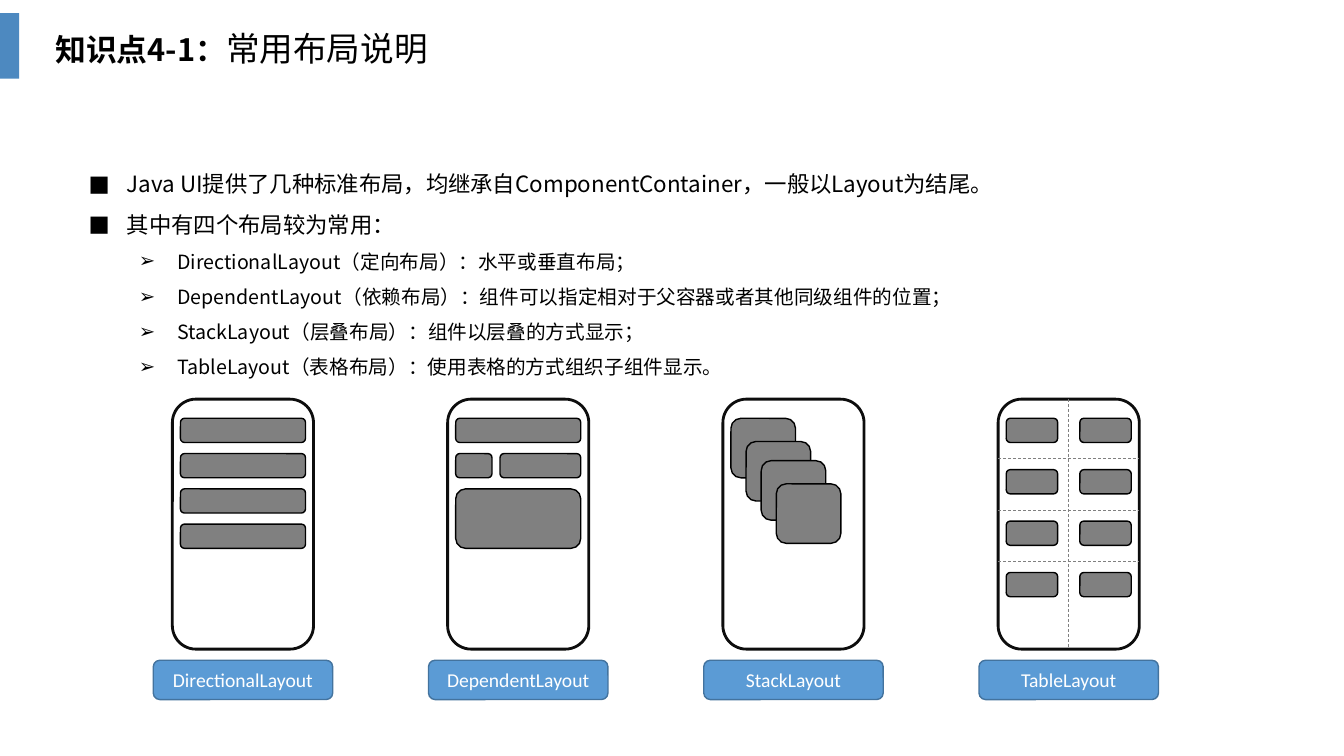
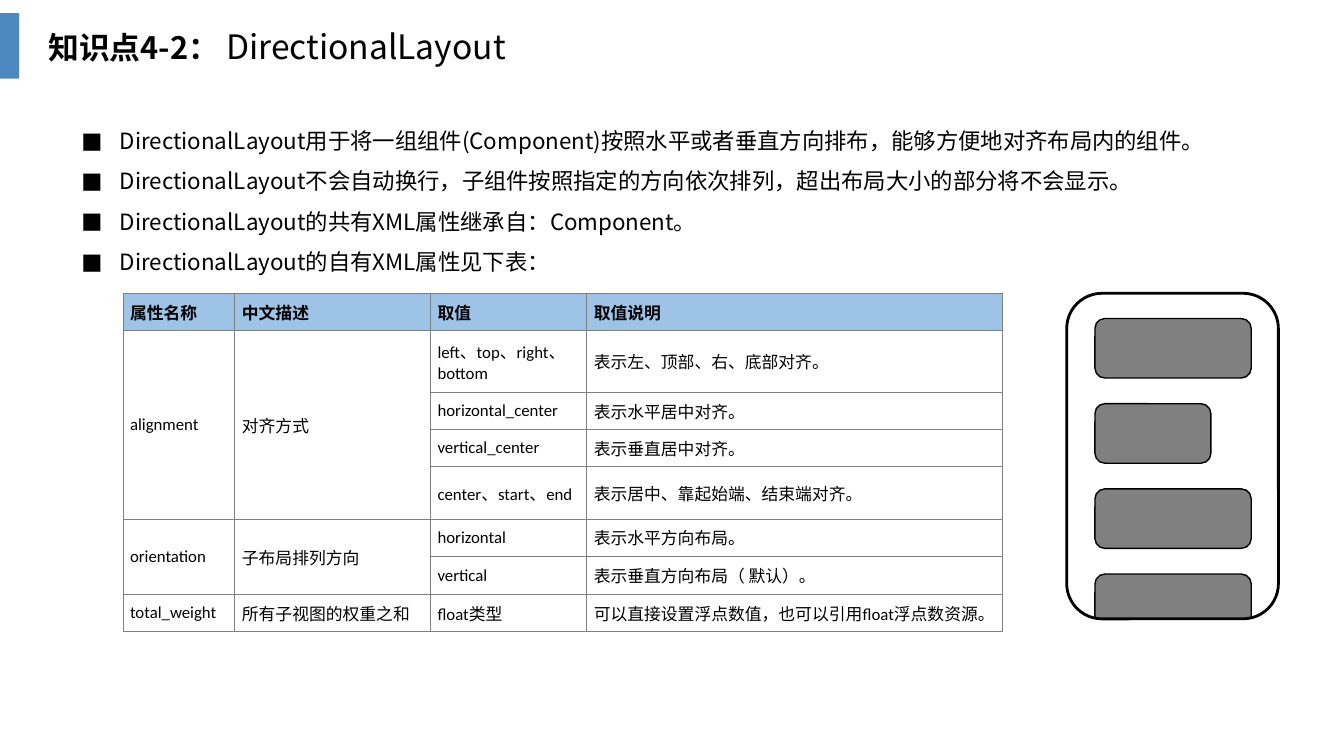
from dataclasses import dataclass
from itertools import product

from lxml.etree import SubElement
from pptx import Presentation
from pptx.dml.color import RGBColor
from pptx.enum.dml import MSO_LINE
from pptx.enum.shapes import MSO_CONNECTOR, MSO_SHAPE
from pptx.enum.text import MSO_ANCHOR, MSO_AUTO_SIZE, PP_ALIGN
from pptx.oxml import parse_xml
from pptx.oxml.ns import nsdecls, qn
from pptx.util import Inches, Pt


@dataclass(frozen=True)
class Theme:
    black: RGBColor = RGBColor.from_string("000000")
    white: RGBColor = RGBColor.from_string("FFFFFF")
    accent: RGBColor = RGBColor.from_string("2E75B6")
    label: RGBColor = RGBColor.from_string("5B9BD5")
    label_edge: RGBColor = RGBColor.from_string("43739E")
    header: RGBColor = RGBColor.from_string("9DC3E6")
    gray: RGBColor = RGBColor.from_string("808080")
    phone_edge: RGBColor = RGBColor.from_string("0D0D0D")
    cjk: str = "Noto Sans CJK SC"
    latin: str = "Calibri"
    prefix: int = 22
    title: int = 24
    body: int = 16
    detail: int = 14
    cell: int = 12


theme = Theme()
BULLETS = "■➢"
BULLET_INDENT = 0.38


def write(paragraph, text, *, size, font=theme.cjk, color=theme.black,
          bold=False, align=PP_ALIGN.LEFT, level=None):
    """Add a run; a level makes the paragraph a bullet of that depth."""
    paragraph.alignment = align
    if level is not None:
        paragraph.level = level
        paragraph.line_spacing = 1.5
        props = paragraph._p.get_or_add_pPr()
        props.set("marL", str(Inches(BULLET_INDENT + level * 0.5)))
        props.set("indent", str(-Inches(BULLET_INDENT)))
        SubElement(props, qn("a:buFont")).set("typeface", theme.latin)
        SubElement(props, qn("a:buChar")).set("char", BULLETS[level])
    run = paragraph.add_run()
    run.text = text
    run.font.size = Pt(size)
    run.font.bold = bold
    run.font.color.rgb = color
    run.font.name = font
    SubElement(run.font._element, qn("a:ea")).set("typeface", theme.cjk)


def add_block(shapes, left, top, width, height, *, fill=theme.gray,
              edge=theme.black, weight=1, kind=MSO_SHAPE.ROUNDED_RECTANGLE):
    block = shapes.add_shape(kind, Inches(left), Inches(top), Inches(width), Inches(height))
    block.shadow.inherit = False
    if fill is None:
        block.fill.background()
    else:
        block.fill.solid()
        block.fill.fore_color.rgb = fill
    if edge is None:
        block.line.fill.background()
    else:
        block.line.color.rgb = edge
        block.line.width = Pt(weight)
    return block


prs = Presentation()
prs.slide_width, prs.slide_height = Inches(13.33), Inches(7.5)
layout = prs.slide_layouts[5]

# Titles and bullet lists
pages = [
    {
        "title": ("知识点4-1：", "常用布局说明"), "title_at": (0.45, 0.23),
        "list_at": (0.78, 1.51), "list_height": 2.28,
        "points": [
            (0, "Java UI提供了几种标准布局，均继承自ComponentContainer，一般以Layout为结尾。"),
            (0, "其中有四个布局较为常用："),
            (1, "DirectionalLayout（定向布局）：水平或垂直布局；"),
            (1, "DependentLayout（依赖布局）：组件可以指定相对于父容器或者其他同级组件的位置；"),
            (1, "StackLayout（层叠布局）：组件以层叠的方式显示；"),
            (1, "TableLayout（表格布局）：使用表格的方式组织子组件显示。"),
        ],
    },
    {
        "title": ("知识点4-2： ", "DirectionalLayout"), "title_at": (0.38, 0.21),
        "list_at": (0.71, 1.08), "list_height": 1.72,
        "points": [
            (0, "DirectionalLayout用于将一组组件(Component)按照水平或者垂直方向排布，能够方便地对齐布局内的组件。"),
            (0, "DirectionalLayout不会自动换行，子组件按照指定的方向依次排列，超出布局大小的部分将不会显示。"),
            (0, "DirectionalLayout的共有XML属性继承自：Component。"),
            (0, "DirectionalLayout的自有XML属性见下表："),
        ],
    },
]
slides = []
for page in pages:
    slide = prs.slides.add_slide(layout)
    slides.append(slide)
    title = slide.shapes.title
    title.left, title.top = map(Inches, page["title_at"])
    title.width, title.height = Inches(7.09), Inches(0.5)
    heading = title.text_frame
    heading.vertical_anchor = MSO_ANCHOR.TOP
    heading.auto_size = MSO_AUTO_SIZE.SHAPE_TO_FIT_TEXT
    prefix, topic = page["title"]
    write(heading.paragraphs[0], prefix, size=theme.prefix, bold=True)
    write(heading.paragraphs[0], topic, size=theme.title)

    left, top = page["list_at"]
    points = slide.shapes.add_textbox(
        Inches(left), Inches(top), Inches(11.92), Inches(page["list_height"])).text_frame
    points.word_wrap = True
    points.auto_size = MSO_AUTO_SIZE.SHAPE_TO_FIT_TEXT
    for index, (level, text) in enumerate(page["points"]):
        paragraph = points.add_paragraph() if index else points.paragraphs[0]
        write(paragraph, text, level=level, size=theme.detail if level else theme.body)

overview, directional = slides

# The accent bar belongs to the layout, so both slides inherit it
bar = add_block(overview.shapes, 0, 0.13, 0.19, 0.65, fill=theme.accent,
                edge=None, kind=MSO_SHAPE.RECTANGLE)
bar_color = bar.fill._xPr.find(qn("a:solidFill")).find(qn("a:srgbClr"))
SubElement(bar_color, qn("a:alpha")).set("val", "85000")
layout.element.cSld.spTree.insert(2, bar.element)

# Four phones; components are (left, top, width, height) inside the phone
PHONE_LEFT, PHONE_TOP, PHONE_PITCH = 1.71, 3.96, 2.73
PHONE_WIDTH, PHONE_HEIGHT = 1.4, 2.48
INSET, FIRST, ROW_STEP, BAR_HEIGHT = 0.08, 0.19, 0.35, 0.24
FULL_WIDTH, BOX_HEIGHT = 1.24, 0.59
phones = {
    "DirectionalLayout": [
        (INSET, FIRST + row * ROW_STEP, FULL_WIDTH, BAR_HEIGHT) for row in range(4)],
    "DependentLayout": [
        (INSET, FIRST, FULL_WIDTH, BAR_HEIGHT),
        (INSET, FIRST + ROW_STEP, 0.36, BAR_HEIGHT),
        (INSET + 0.44, FIRST + ROW_STEP, 0.8, BAR_HEIGHT),
        (INSET, FIRST + 2 * ROW_STEP, FULL_WIDTH, BOX_HEIGHT)],
    "StackLayout": [
        (INSET + step * 0.15, FIRST + drop, 0.64, BOX_HEIGHT)
        for step, drop in enumerate((0, 0.23, 0.42, 0.65))],
    "TableLayout": [
        (INSET + col * 0.73, FIRST + row * 0.51, 0.51, BAR_HEIGHT)
        for row, col in product(range(4), range(2))],
}
for column, (name, components) in enumerate(phones.items()):
    left = PHONE_LEFT + column * PHONE_PITCH
    phone = overview.shapes.add_group_shape().shapes
    add_block(phone, left, PHONE_TOP, PHONE_WIDTH, PHONE_HEIGHT,
              fill=None, edge=theme.phone_edge, weight=2)
    for dx, dy, width, height in components:
        add_block(phone, left + dx, PHONE_TOP + dy, width, height)
    if name == "TableLayout":
        right, bottom = left + PHONE_WIDTH, PHONE_TOP + PHONE_HEIGHT
        middle = left + PHONE_WIDTH / 2
        dividers = [(middle, PHONE_TOP, middle, bottom)]
        for row in range(3):
            y = PHONE_TOP + 0.59 + row * 0.51
            dividers.append((left, y, right, y))
        for ends in dividers:
            divider = phone.add_connector(MSO_CONNECTOR.STRAIGHT, *map(Inches, ends))
            divider.line.color.rgb = theme.gray
            divider.line.width = Pt(0.5)
            divider.line.dash_style = MSO_LINE.DASH
            SubElement(divider.element.spPr, qn("a:effectLst"))

    label = add_block(overview.shapes, left - 0.19, 6.55, 1.78, 0.39,
                      fill=theme.label, edge=theme.label_edge).text_frame
    label.vertical_anchor = MSO_ANCHOR.MIDDLE
    write(label.paragraphs[0], name, size=theme.detail, font=theme.latin,
          color=theme.white, align=PP_ALIGN.CENTER)

# Attribute table; None continues the cell above
attributes = [
    ("属性名称", "中文描述", "取值", "取值说明"),
    ("alignment", "对齐方式", "left、top、right、bottom", "表示左、顶部、右、底部对齐。"),
    (None, None, "horizontal_center", "表示水平居中对齐。"),
    (None, None, "vertical_center", "表示垂直居中对齐。"),
    (None, None, "center、start、end", "表示居中、靠起始端、结束端对齐。"),
    ("orientation", "子布局排列方向", "horizontal", "表示水平方向布局。"),
    (None, None, "vertical", "表示垂直方向布局（ 默认）。"),
    ("total_weight", "所有子视图的权重之和", "float类型", "可以直接设置浮点数值，也可以引用float浮点数资源。"),
]
column_widths = (1.11, 1.94, 1.55, 4.12)
row_heights = (0.37, 0.61, 0.37, 0.37, 0.37, 0.37, 0.38, 0.37)
table = directional.shapes.add_table(
    len(row_heights), len(column_widths), Inches(1.22), Inches(2.91),
    Inches(sum(column_widths)), Inches(sum(row_heights))).table
table.first_row = table.horz_banding = False
for column, width in zip(table.columns, column_widths):
    column.width = Inches(width)
for row, height in zip(table.rows, row_heights):
    row.height = Inches(height)

for r, texts in enumerate(attributes):
    for c, text in enumerate(texts):
        cell = table.cell(r, c)
        cell.vertical_anchor = MSO_ANCHOR.MIDDLE
        cell.margin_left = cell.margin_right = Inches(0.07)
        cell.margin_top = cell.margin_bottom = Inches(0.06)
        cell.fill.solid()
        cell.fill.fore_color.rgb = theme.white if r else theme.header
        for position, side in enumerate("LRTB"):
            cell._tc.get_or_add_tcPr().insert(position, parse_xml(
                f'<a:ln{side} {nsdecls("a")} w="{Pt(0.75)}"><a:solidFill>'
                f'<a:srgbClr val="{theme.gray}"/></a:solidFill></a:ln{side}>'))
        if text:
            write(cell.text_frame.paragraphs[0], text, size=theme.cell,
                  font=theme.latin, bold=r == 0)
for first, last in ((1, 4), (5, 6)):
    for c in range(2):
        table.cell(first, c).merge(table.cell(last, c))

# Phone whose last component runs past the screen; a white frame trims it
screen = directional.shapes.add_group_shape().shapes
COMPONENT_LEFT, COMPONENT_TOP, COMPONENT_STEP = 10.86, 3.16, 0.845
add_block(screen, COMPONENT_LEFT, COMPONENT_TOP + 3 * COMPONENT_STEP, 1.55, BOX_HEIGHT)
add_block(screen, 10.54, 2.91, 2.2, 3.35, fill=None, edge=theme.white, weight=18)
for row, width in enumerate((1.55, 1.15, 1.55)):
    add_block(screen, COMPONENT_LEFT, COMPONENT_TOP + row * COMPONENT_STEP, width, BOX_HEIGHT)
add_block(screen, 10.58, 2.91, 2.1, 3.23, fill=None, weight=2)

prs.save("out.pptx")
